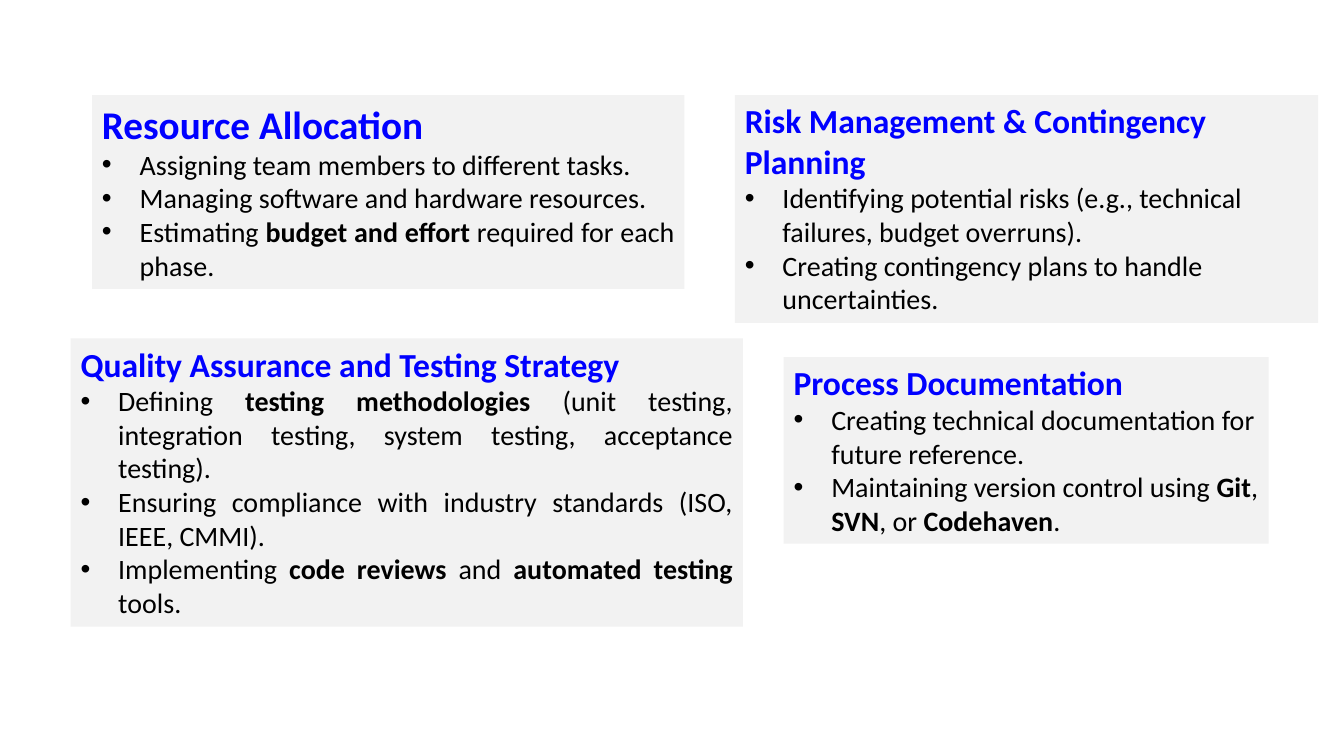
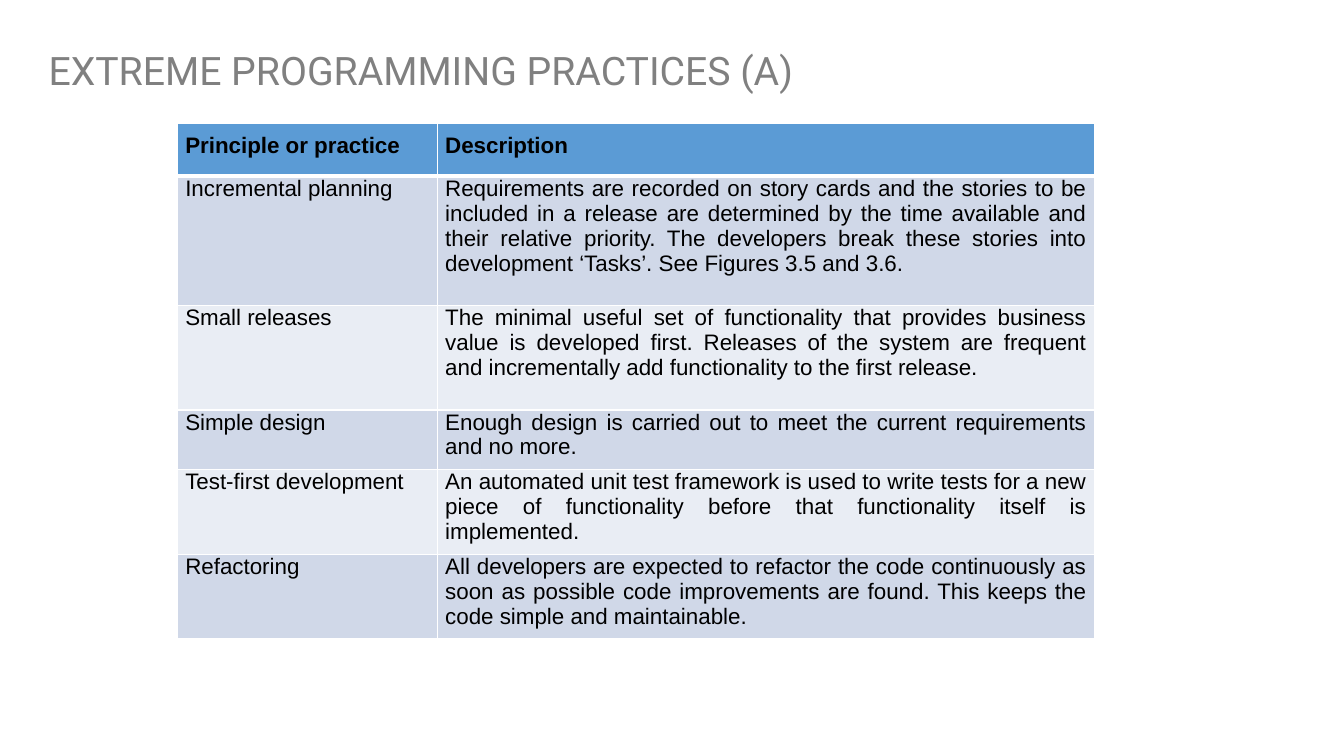
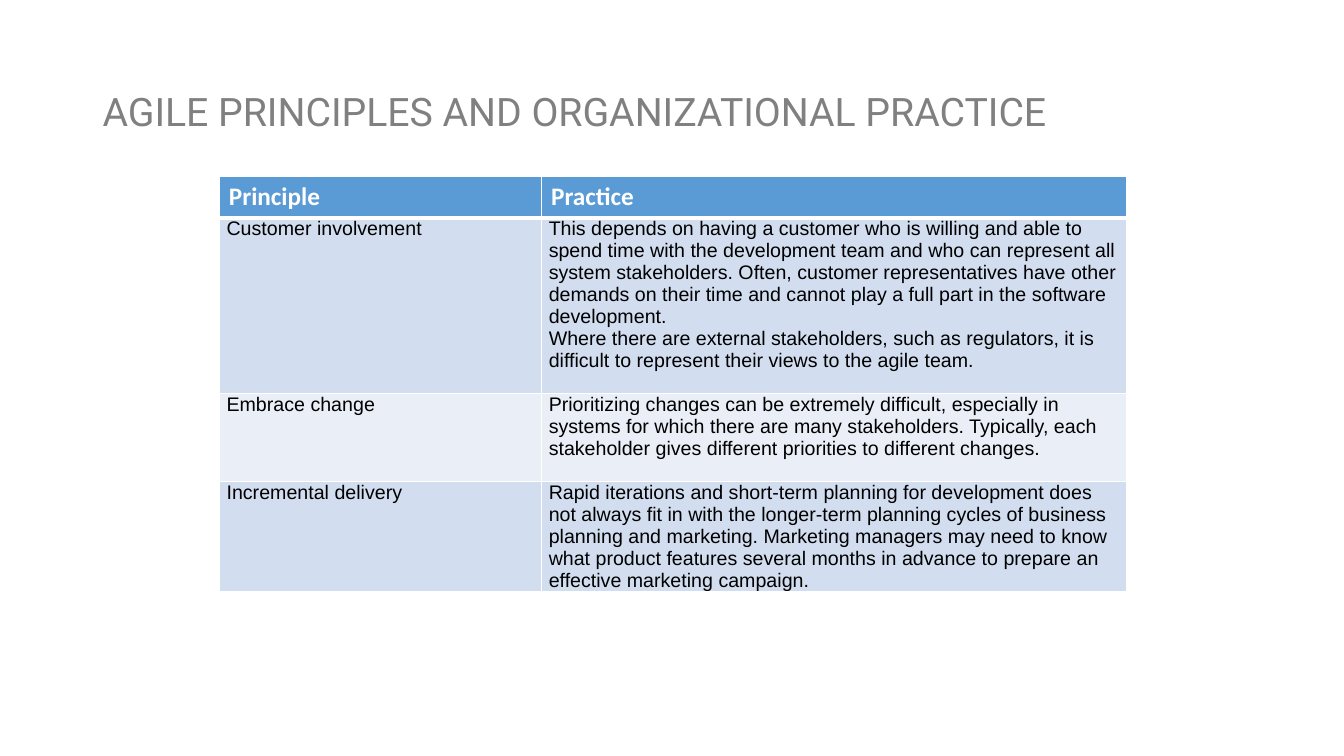
from lxml.etree import SubElement
from pptx import Presentation
from pptx.dml.color import RGBColor
from pptx.enum.text import MSO_ANCHOR as Anchor, MSO_AUTO_SIZE as AutoSize, PP_ALIGN as Align
from pptx.oxml.ns import qn
from pptx.util import Cm, Pt

WHITE = RGBColor(0xFF, 0xFF, 0xFF)
BLACK = RGBColor(0x00, 0x00, 0x00)
HEADING_BLUE = RGBColor(0x00, 0x00, 0xFF)
PANEL_GRAY = RGBColor(0xF2, 0xF2, 0xF2)
TITLE_GRAY = RGBColor(0x80, 0x80, 0x80)
HEADER_BLUE = RGBColor(0x5B, 0x9B, 0xD5)
PRACTICE_BANDS = [RGBColor(0xD0, 0xD8, 0xE8), RGBColor(0xE9, 0xED, 0xF4)]
AGILE_BANDS = [RGBColor(0xD2, 0xDE, 0xEF), RGBColor(0xEA, 0xEF, 0xF7)]


def style_run(run, font, size, color, bold=False):
    run.font.name = font
    run.font.size = Pt(size)
    run.font.color.rgb = color
    run.font.bold = bold


def add_border(cell, side, points):
    line = SubElement(cell._tc.get_or_add_tcPr(), qn(f"a:ln{side}"), w=str(Pt(points)))
    SubElement(SubElement(line, qn("a:solidFill")), qn("a:srgbClr"), val=str(WHITE))


prs = Presentation()
prs.slide_width, prs.slide_height = Cm(33.87), Cm(19.05)

activities = [
    ((2.32, 2.4, 14.93, 4.88), "Resource Allocation", 28, Align.JUSTIFY, [
        "Assigning team members to different tasks.",
        "Managing software and hardware resources.",
        "Estimating **budget and effort** required for each phase."]),
    ((18.52, 2.4, 14.7, 5.74), "Risk Management & Contingency Planning", 24, Align.LEFT, [
        "Identifying potential risks (e.g., technical failures, budget overruns).",
        "Creating contingency plans to handle uncertainties."]),
    ((1.78, 8.53, 16.94, 7.26), "Quality Assurance and Testing Strategy", 24, Align.JUSTIFY, [
        "Defining **testing methodologies** (unit testing, integration testing, "
        "system testing, acceptance testing).",
        "Ensuring compliance with industry standards (ISO, IEEE, CMMI).",
        "Implementing **code reviews** and **automated testing** tools."]),
    ((19.75, 9.0, 12.22, 4.7), "Process Documentation", 24, Align.LEFT, [
        "Creating technical documentation for future reference.",
        "Maintaining version control using **Git**, **SVN**, or **Codehaven**."]),
]

planning = prs.slides.add_slide(prs.slide_layouts[6])
for place, heading, heading_size, align, points in activities:
    panel = planning.shapes.add_textbox(*map(Cm, place))
    panel.fill.solid()
    panel.fill.fore_color.rgb = PANEL_GRAY
    frame = panel.text_frame
    frame.word_wrap = True
    frame.auto_size = AutoSize.SHAPE_TO_FIT_TEXT
    frame.text = heading
    style_run(frame.paragraphs[0].runs[0], "Calibri", heading_size, HEADING_BLUE, True)
    for point in points:
        paragraph = frame.add_paragraph()
        paragraph.alignment = align
        props = paragraph._p.get_or_add_pPr()
        props.set("marL", str(Cm(0.95)))
        props.set("indent", str(-Cm(0.95)))
        SubElement(props, qn("a:buFont"), typeface="Arial")
        SubElement(props, qn("a:buChar"), char="•")
        for index, part in enumerate(point.split("**")):
            run = paragraph.add_run()
            run.text = part
            style_run(run, "Calibri", 20, BLACK, index % 2 == 1)

table_slides = [
    {
        "title": "EXTREME PROGRAMMING PRACTICES (A)",
        "title_at": (0.97, 0),
        "table_at": (4.47, 3.12),
        "columns": [6.55, 16.56],
        "heights": [1.32, 3.25, 2.64, 1.5, 2.13, 2.13],
        "bands": PRACTICE_BANDS,
        "align": Align.JUSTIFY,
        "header": ("Arial", 16, BLACK, True),
        "body": ("Arial", 16, BLACK),
        "header_insets": (0.2, 0.25, 0.2, 0.25),
        "body_insets": (0.2, 0, 0.2, 0.25),
        "rows": [
            ("Principle or practice", "Description"),
            ("Incremental planning",
             "Requirements are recorded on story cards and the stories to be included in a "
             "release are determined by the time available and their relative priority. The "
             "developers break these stories into development ‘Tasks’. See Figures 3.5 and 3.6."),
            ("Small releases",
             "The minimal useful set of functionality that provides business value is developed "
             "first. Releases of the system are frequent and incrementally add functionality to "
             "the first release."),
            ("Simple design",
             "Enough design is carried out to meet the current requirements and no more."),
            ("Test-first development",
             "An automated unit test framework is used to write tests for a new piece of "
             "functionality before that functionality itself is implemented."),
            ("Refactoring",
             "All developers are expected to refactor the code continuously as soon as possible "
             "code improvements are found. This keeps the code simple and maintainable."),
        ],
    },
    {
        "title": "AGILE PRINCIPLES AND ORGANIZATIONAL PRACTICE",
        "title_at": (2.33, 1.02),
        "table_at": (5.52, 4.45),
        "columns": [8.12, 14.75],
        "heights": [1.03, 4.43, 2.22, 2.78],
        "bands": AGILE_BANDS,
        "align": Align.LEFT,
        "header": ("Calibri", 18, WHITE, True),
        "body": ("Arial", 14, BLACK),
        "header_insets": (0.25, 0.13, 0.25, 0.13),
        "body_insets": (0.19, 0, 0.19, 0),
        "rows": [
            ("Principle", "Practice"),
            ("Customer involvement",
             "This depends on having a customer who is willing and able to spend time with the "
             "development team and who can represent all system stakeholders. Often, customer "
             "representatives have other demands on their time and cannot play a full part in "
             "the software development.\n"
             "Where there are external stakeholders, such as regulators, it is difficult to "
             "represent their views to the agile team."),
            ("Embrace change",
             "Prioritizing changes can be extremely difficult, especially in systems for which "
             "there are many stakeholders. Typically, each stakeholder gives different "
             "priorities to different changes."),
            ("Incremental delivery",
             "Rapid iterations and short-term planning for development does not always fit in "
             "with the longer-term planning cycles of business planning and marketing. Marketing "
             "managers may need to know what product features several months in advance to "
             "prepare an effective marketing campaign."),
        ],
    },
]

for content in table_slides:
    slide = prs.slides.add_slide(prs.slide_layouts[5])
    title = slide.shapes.title
    title.left, title.top = map(Cm, content["title_at"])
    title.width, title.height = Cm(29.21), Cm(3.68)
    title.text_frame.text = content["title"]
    title.text_frame.vertical_anchor = Anchor.MIDDLE
    heading = title.text_frame.paragraphs[0]
    heading.alignment = Align.LEFT
    heading.line_spacing = 0.9
    style_run(heading.runs[0], "Roboto", 28, TITLE_GRAY)

    columns, heights, rows = content["columns"], content["heights"], content["rows"]
    table = slide.shapes.add_table(
        len(rows), len(columns), *map(Cm, content["table_at"]),
        Cm(sum(columns)), Cm(sum(heights))).table
    for column, width in zip(table.columns, columns):
        column.width = Cm(width)
    for row_index, texts in enumerate(rows):
        table.rows[row_index].height = Cm(heights[row_index])
        part = "header" if row_index == 0 else "body"
        fill = HEADER_BLUE if row_index == 0 else content["bands"][(row_index - 1) % 2]
        for column_index, text in enumerate(texts):
            cell = table.cell(row_index, column_index)
            (cell.margin_left, cell.margin_top,
             cell.margin_right, cell.margin_bottom) = map(Cm, content[f"{part}_insets"])
            for side in "LRTB":
                under_header = (row_index, side) in [(0, "B"), (1, "T")]
                add_border(cell, side, 3 if under_header else 1)
            cell.fill.solid()
            cell.fill.fore_color.rgb = fill
            cell.text_frame.text = text
            for paragraph in cell.text_frame.paragraphs:
                paragraph.alignment = content["align"]
                style_run(paragraph.runs[0], *content[part])

prs.save("out.pptx")
